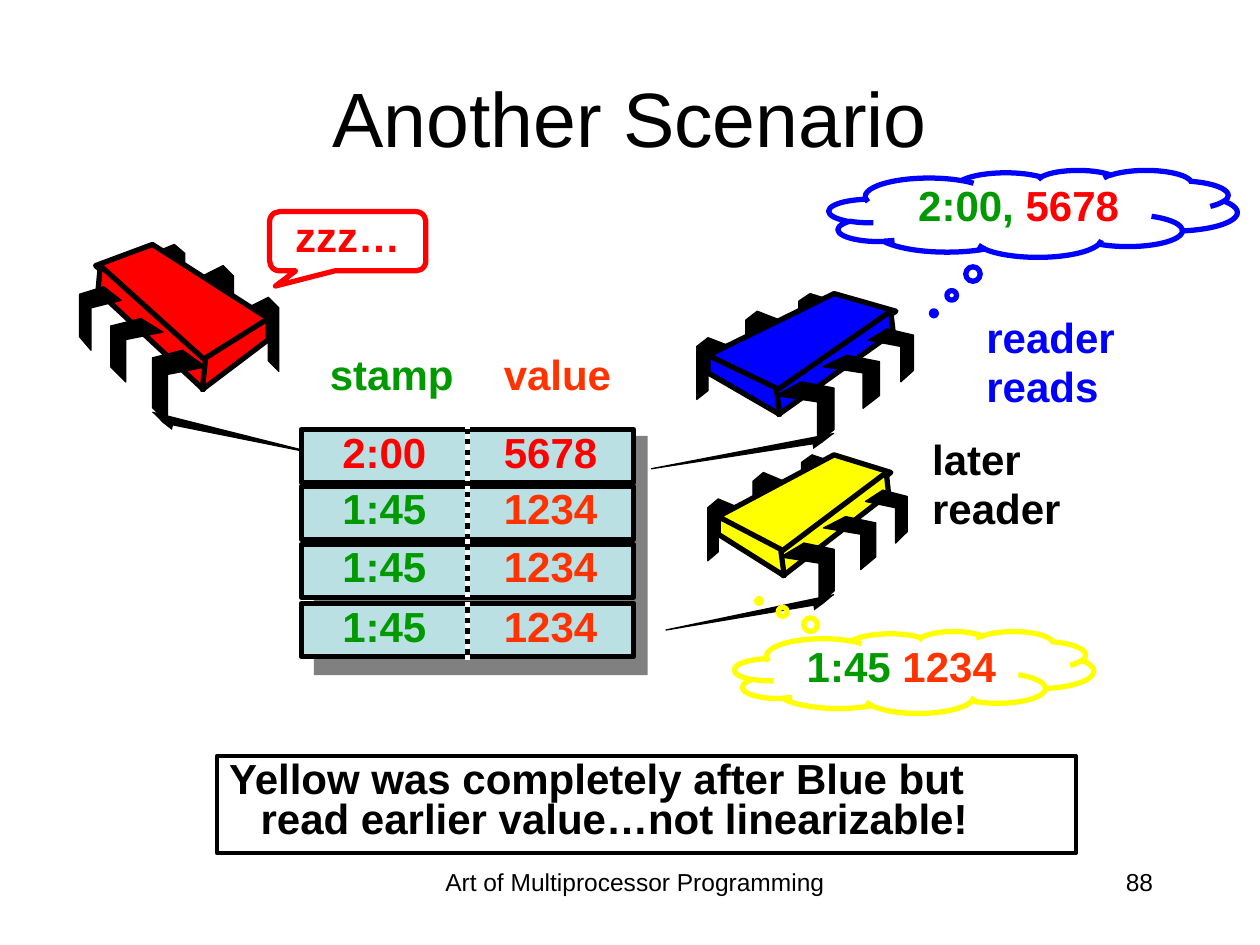
from lxml import etree
from pptx import Presentation
from pptx import util as u
from pptx.dml import color
from pptx.enum import dml, shapes, text
from pptx.oxml import ns

COLOURS = {
    "black": "000000", "white": "FFFFFF", "grey": "808080", "cell": "BBE0E3",
    "red": "FF0000", "orange": "FF3300", "green": "009900",
    "blue": "0000FF", "yellow": "FFFF00",
}
LEFT, CENTER, RIGHT = text.PP_ALIGN.LEFT, text.PP_ALIGN.CENTER, text.PP_ALIGN.RIGHT
TOP, MIDDLE = text.MSO_ANCHOR.TOP, text.MSO_ANCHOR.MIDDLE
KINDS = shapes.MSO_SHAPE


def paint(shape, fill, line, width=3):
    shape.shadow.inherit = False
    for format_, name in ((shape.fill, fill), (shape.line.fill, line)):
        if name:
            format_.solid()
            format_.fore_color.rgb = color.RGBColor.from_string(COLOURS[name])
        else:
            format_.background()
    if line:
        shape.line.width = u.Pt(width)


def write(shape, lines, align=LEFT, anchor=TOP, size=24, bold=True, wrap=True):
    frame = shape.text_frame
    frame.word_wrap = wrap
    frame.vertical_anchor = anchor
    for index, spans in enumerate(lines):
        para = frame.add_paragraph() if index else frame.paragraphs[0]
        para.alignment = align
        if bold:
            para.line_spacing = 0.8
            para.space_before = u.Pt(5 if index else 0)
            properties = para._p.get_or_add_pPr()
            properties.set("marL", str(u.Inches(0.25)))
            properties.set("indent", str(u.Inches(-0.25)))
        for words, name in spans:
            span = para.add_run()
            span.text = words
            span.font.name = "Arial"
            span.font.size = u.Pt(size)
            span.font.bold = bold
            span.font.color.rgb = color.RGBColor.from_string(COLOURS[name])


deck = Presentation()
deck.slide_width, deck.slide_height = u.Inches(10), u.Inches(7.5)
page = deck.slides.add_slide(deck.slide_layouts[5])

title = page.shapes.title
title.left, title.top, title.width, title.height = map(u.Inches, (0.5, 0.3, 9, 1.25))
write(title, [[("Another Scenario", "black")]], CENTER, MIDDLE, 44, False)

table_shadow = page.shapes.add_shape(KINDS.RECTANGLE, *map(u.Inches, (2.49, 3.46, 2.65, 1.9)))
paint(table_shadow, "grey", None)

back_legs = [
    [(5.8, 2.75), (5.62, 2.68), (5.53, 2.75), (5.53, 3.17), (5.62, 3.1), (5.62, 2.82), (5.8, 2.89)],
    [(6.19, 2.54), (6.01, 2.47), (5.92, 2.54), (5.92, 2.96), (6.01, 2.89), (6.01, 2.61), (6.19, 2.68)],
    [(6.62, 2.39), (6.43, 2.33), (6.34, 2.39), (6.34, 2.75), (6.43, 2.69), (6.43, 2.45), (6.62, 2.51)],
]
body_faces = [
    [(6.62, 2.33), (5.62, 2.82), (6.18, 3.11), (7.11, 2.47)],
    [(7.07, 2.47), (6.16, 3.1), (6.18, 3.29), (7.09, 2.64)],
    [(5.62, 2.82), (5.62, 2.96), (6.19, 3.29), (6.16, 3.08)],
]
front_legs = [
    [(6.36, 3.03), (6.16, 3.14), (6.49, 3.19), (6.49, 3.51), (6.62, 3.41), (6.62, 3.08)],
    [(6.72, 2.82), (6.53, 2.91), (6.85, 2.96), (6.85, 3.24), (6.98, 3.14), (6.98, 2.87)],
    [(7.04, 2.61), (6.89, 2.7), (7.15, 2.75), (7.15, 3.03), (7.25, 2.94), (7.25, 2.66)],
]
pointer = [(6.62, 3.44), (5.17, 3.72), (6.53, 3.51)]
origin_x, origin_y = 6.62, 2.33

for chip_color, left, top, scale_x, scale_y in (
    ("red", 1.21, 1.94, -0.92, 1.2),
    ("blue", 6.62, 2.33, 1, 1),
    ("yellow", 6.62, 3.61, 0.92, 1),
):
    chip = page.shapes.add_group_shape()
    for outline in back_legs + body_faces + front_legs + [pointer]:
        points = [
            (u.Inches(left + (x - origin_x) * scale_x), u.Inches(top + (y - origin_y) * scale_y))
            for x, y in outline
        ]
        builder = chip.shapes.build_freeform(*points[0])
        builder.add_line_segments(points[1:], close=outline is not pointer)
        part = builder.convert_to_shape()
        if outline in body_faces:
            paint(part, chip_color, "black")
        else:
            paint(part, "black", "black", 0.75)
        if outline is pointer:
            etree.SubElement(part.line._get_or_add_ln(), ns.qn("a:tailEnd"), type="triangle")

for top, stamp, value, stamp_color, value_color in (
    (3.86, "1:45", "1234", "green", "orange"),
    (3.41, "2:00", "5678", "red", "red"),
    (4.79, "1:45", "1234", "green", "orange"),
    (4.32, "1:45", "1234", "green", "orange"),
):
    for left, words, name in ((2.39, stamp, stamp_color), (3.71, value, value_color)):
        cell = page.shapes.add_shape(KINDS.RECTANGLE, *map(u.Inches, (left, top, 1.32, 0.42)))
        paint(cell, "cell", "black")
        write(cell, [[(words, name)]], CENTER, MIDDLE)

divider = page.shapes.add_connector(
    shapes.MSO_CONNECTOR.STRAIGHT, *map(u.Inches, (3.71, 3.36, 3.71, 5.24))
)
divider.line.color.rgb = color.RGBColor.from_string(COLOURS["white"])
divider.line.width = u.Pt(3)
divider.line.dash_style = dml.MSO_LINE.ROUND_DOT
etree.SubElement(divider._element.spPr, ns.qn("a:effectLst"))

for area, lines, name in (
    ((2.52, 2.79, 1.19, 0.42), ["stamp"], "green"),
    ((3.9, 2.79, 1.06, 0.42), ["value"], "orange"),
    ((7.73, 2.5, 1.33, 0.83), ["reader", "reads"], "blue"),
    ((7.3, 3.47, 1.23, 0.83), ["later", "reader"], "black"),
):
    label = page.shapes.add_textbox(*map(u.Inches, area))
    write(label, [[(words, name)] for words in lines], wrap=False)

for kind, area, adjustments, line, spans in (
    (KINDS.CLOUD_CALLOUT, (6.58, 1.35, 3.24, 0.69), (-0.243, 1.147), "blue",
     [("2:00, ", "green"), ("5678", "red")]),
    (KINDS.ROUNDED_RECTANGULAR_CALLOUT, (2.14, 1.68, 1.24, 0.47), (-0.462, 0.757, 0.167), "red",
     [("zzz…", "red")]),
    (KINDS.CLOUD_CALLOUT, (5.83, 5.01, 2.85, 0.65), (-0.432, -0.87), "yellow",
     [("1:45 ", "green"), ("1234", "orange")]),
):
    callout = page.shapes.add_shape(kind, *map(u.Inches, area))
    for index, amount in enumerate(adjustments):
        callout.adjustments[index] = amount
    paint(callout, None, line)
    write(callout, [spans], CENTER)

conclusion = page.shapes.add_shape(KINDS.RECTANGLE, *map(u.Inches, (1.72, 6, 6.82, 0.77)))
paint(conclusion, "white", "black", 2.25)
write(conclusion, [[(
    "Yellow was completely after Blue but read earlier value…not linearizable!", "black"
)]])

for area, words, align in (
    ((3.33, 6.83, 3.42, 0.52), "Art of Multiprocessor Programming", CENTER),
    ((7.17, 6.83, 2.08, 0.5), "88", RIGHT),
):
    footer = page.shapes.add_textbox(*map(u.Inches, area))
    write(footer, [[(words, "black")]], align, size=14, bold=False)

deck.save("out.pptx")
